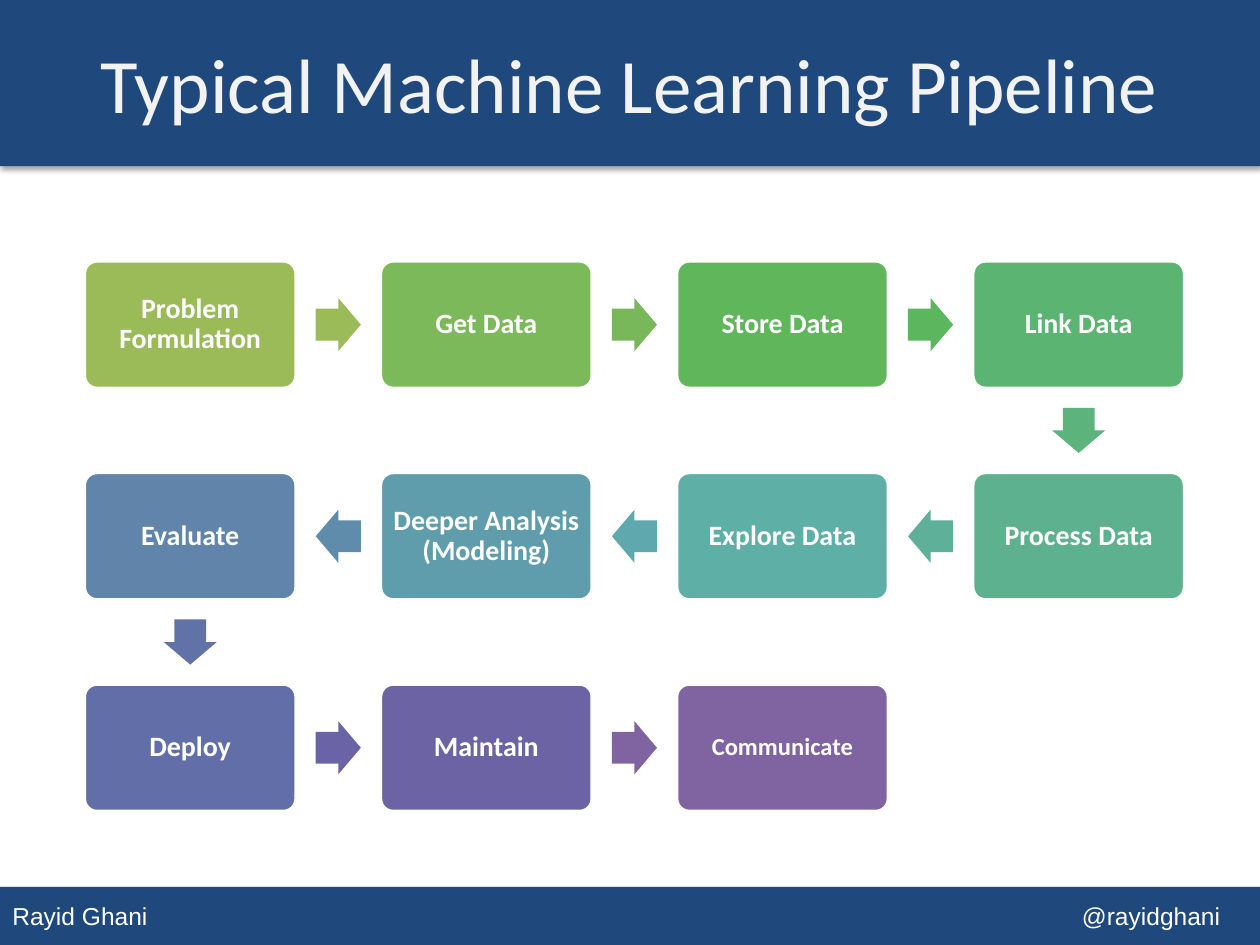
from lxml import etree
from pptx import Presentation, util as u
from pptx.dml.color import RGBColor
from pptx.enum import shapes as sh, text as tx
from pptx.oxml.ns import qn

COLORS = {"navy": "1F497D", "white": "FFFFFF", "pale": "F2F2F2", "black": "000000"}

# Label, box colour, colour of the arrow to the next step
STEPS = [
    ("Problem Formulation", "9BBB59", "9BBB59"),
    ("Get Data", "7CB95A", "79B85A"),
    ("Store Data", "5FB65B", "5BB65D"),
    ("Link Data", "5CB473", "5CB37C"),
    ("Process Data", "5DB18E", "5EB099"),
    ("Explore Data", "5EAFA6", "5FA8AD"),
    ("Deeper Analysis (Modeling)", "5F9DAC", "608CAB"),
    ("Evaluate", "6084AA", "6172A8"),
    ("Deploy", "626EA7", "6A63A5"),
    ("Maintain", "6C63A5", "8064A2"),
    ("Communicate", "8064A2", None),
]
SMALL = {"Communicate": 14}


def style(font, name, size, color, bold=False):
    """Set face, size, colour and weight of a font."""
    font.name, font.size, font.bold = name, u.Pt(size), bold
    font.color.rgb = RGBColor.from_string(color)


def add_form(slide, kind, box, fill):
    """Add a flat preset shape in box (left, top, width, height in cm)."""
    form = slide.shapes.add_shape(kind, *[u.Cm(v) for v in box])
    form.fill.solid()
    form.fill.fore_color.rgb = RGBColor.from_string(fill)
    form.line.fill.background()
    form.shadow.inherit = False
    return form


def add_band(slide, box):
    """Add a navy band with a soft shadow below it."""
    band = add_form(slide, sh.MSO_SHAPE.RECTANGLE, box, COLORS["navy"])
    effects = band.element.spPr.find(qn("a:effectLst"))
    shade = etree.SubElement(
        effects, qn("a:outerShdw"), blurRad=str(u.Pt(3.1)),
        dist=str(u.Pt(1.8)), dir="5400000", rotWithShape="0")
    color = etree.SubElement(shade, qn("a:srgbClr"), val=COLORS["black"])
    etree.SubElement(color, qn("a:alpha"), val="35000")
    return band


def add_header(slide, box, label):
    """Add the top band and put the title on it."""
    add_band(slide, box)
    left, top, width, height = box
    title = slide.shapes.title
    title.left, title.top = u.Cm(left), u.Cm(top + 0.08)
    title.width, title.height = u.Cm(width), u.Cm(height - 0.17)
    title.element.getparent().append(title.element)
    title.text_frame.text = label
    title.text_frame.vertical_anchor = tx.MSO_ANCHOR.MIDDLE
    para = title.text_frame.paragraphs[0]
    para.alignment = tx.PP_ALIGN.CENTER
    style(para.font, "Calibri", 44, COLORS["pale"])


def add_footer(slide, box, name, handle):
    """Add the bottom band with a name at left and a handle at right."""
    band = add_band(slide, box)
    frame = band.text_frame
    frame.vertical_anchor = tx.MSO_ANCHOR.MIDDLE
    frame.text = f"{name}\t{handle}"
    para = frame.paragraphs[0]
    para.alignment = tx.PP_ALIGN.LEFT
    props = next(band.element.iter(qn("a:pPr")))
    tabs = etree.SubElement(props, qn("a:tabLst"))
    etree.SubElement(tabs, qn("a:tab"), pos=str(u.Cm(box[2] - 1.05)), algn="r")
    style(para.font, "Arial", 14, COLORS["white"])


def add_step(slide, box, label, fill):
    """Add one rounded step box with its label."""
    step = add_form(slide, sh.MSO_SHAPE.ROUNDED_RECTANGLE, box, fill)
    step.adjustments[0] = 0.1
    step.line.color.rgb = RGBColor.from_string(COLORS["white"])
    step.line.width = u.Pt(2)
    frame = step.text_frame
    frame.word_wrap = True
    frame.vertical_anchor = tx.MSO_ANCHOR.MIDDLE
    frame.margin_left = frame.margin_right = u.Cm(0.15)
    frame.margin_top = frame.margin_bottom = u.Cm(0.15)
    frame.text = label
    para = frame.paragraphs[0]
    para.alignment = tx.PP_ALIGN.CENTER
    para.line_spacing = 0.9
    style(para.font, "Calibri", SMALL.get(label, 16), COLORS["white"], True)


def add_arrow(slide, mid, turn, fill):
    """Add an arrow centred on mid and turned by some degrees."""
    wide, high = 0.91, 1.07
    box = (mid[0] - wide / 2, mid[1] - high / 2, wide, high)
    arrow = add_form(slide, sh.MSO_SHAPE.RIGHT_ARROW, box, fill)
    arrow.adjustments[0], arrow.adjustments[1] = 0.6, 0.5
    arrow.rotation = turn


def add_flow(slide, box, cols=4, rows=3):
    """Lay the steps out in box as a snake, with arrows in the gaps."""
    left, top, width, height = box
    wide, high = 4.27, 2.57
    across = (width - wide) / (cols - 1)
    down = (height - high) / (rows - 1)

    def spot(index):
        """Return the left top corner of a step."""
        row, col = divmod(index, cols)
        if row % 2:
            col = cols - 1 - col
        return left + col * across, top + row * down

    for index, (label, fill, tint) in enumerate(STEPS):
        x, y = spot(index)
        add_step(slide, (x, y, wide, high), label, fill)
        if tint:
            nx, ny = spot(index + 1)
            mid = ((x + nx + wide) / 2, (y + ny + high) / 2)
            turn = 90 if ny > y else 180 if nx < x else 0
            add_arrow(slide, mid, turn, tint)


def main():
    """Build the slide and save it."""
    deck = Presentation()
    deck.slide_width, deck.slide_height = u.Cm(25.4), u.Cm(19.05)
    slide = deck.slides.add_slide(deck.slide_layouts[5])
    add_footer(slide, (0, 17.88, 25.4, 1.17), "Rayid Ghani", "@rayidghani")
    add_header(slide, (0, 0, 25.4, 3.35), "Typical Machine Learning Pipeline")
    add_flow(slide, (1.7, 5.26, 22.18, 11.1))
    deck.save("out.pptx")


main()
